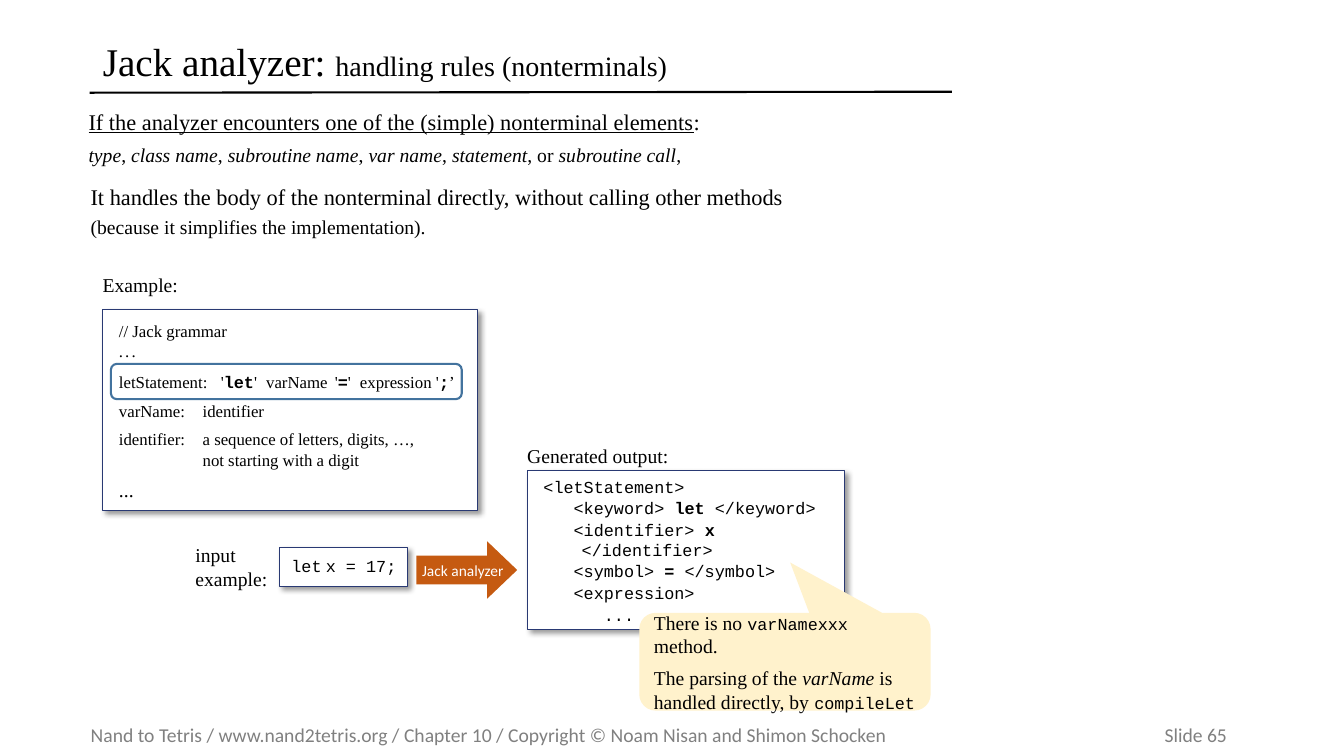
"""Build the slide on how the Jack analyzer handles simple nonterminals."""
from lxml.etree import SubElement
from pptx import Presentation
from pptx.dml.color import RGBColor
from pptx.enum.shapes import MSO_CONNECTOR, MSO_SHAPE as SHAPE
from pptx.enum.text import MSO_ANCHOR as ANCHOR, PP_ALIGN as ALIGN
from pptx.oxml.ns import qn
from pptx.util import Inches, Pt

BLACK = RGBColor(0x00, 0x00, 0x00)
WHITE = RGBColor(0xFF, 0xFF, 0xFF)
GREY = RGBColor(0x80, 0x80, 0x80)
NAVY = RGBColor(0x29, 0x39, 0x73)
BLUE = RGBColor(0x43, 0x73, 0x9E)
ORANGE = RGBColor(0xC5, 0x5A, 0x11)
CREAM = RGBColor(0xFF, 0xF2, 0xCC)

SERIF, SANS, MONO = "Times New Roman", "Calibri", "Courier New"
BOLD = {"bold": True}
ITALIC = {"italic": True}
TERMINAL = {"name": MONO, "bold": True}
METHOD = {"name": MONO, "size": Pt(12)}
LINE_BREAK = "\n"


def set_frame(shape, insets=(0.1, 0.05, 0.1, 0.05), anchor=ANCHOR.TOP, wrap=True):
    """Set the insets (left, top, right, bottom), anchor and wrapping of a shape's text."""
    frame = shape.text_frame
    frame.margin_left, frame.margin_top, frame.margin_right, frame.margin_bottom = map(Inches, insets)
    frame.vertical_anchor = anchor
    frame.word_wrap = wrap
    return frame


def write(frame, runs, size, font=SERIF, color=BLACK, before=0, hang=0, tabs=(), align=ALIGN.LEFT):
    """Add a paragraph of plain strings and (text, font settings) pairs."""
    paragraph = frame.paragraphs[0]
    if paragraph.runs:
        paragraph = frame.add_paragraph()
    paragraph.alignment = align
    paragraph.space_before = Pt(before)
    properties = paragraph._p.get_or_add_pPr()
    if hang:
        properties.set("marL", str(Inches(hang)))
        properties.set("indent", str(-Inches(hang)))
    if tabs:
        stops = SubElement(properties, qn("a:tabLst"))
        for stop in tabs:
            SubElement(stops, qn("a:tab"), pos=str(Inches(stop)), algn="l")
    paragraph.font.name = font
    paragraph.font.size = Pt(size)
    paragraph.font.color.rgb = color
    for part in [runs] if isinstance(runs, str) else runs:
        if part == LINE_BREAK:
            paragraph.add_line_break()
            continue
        words, settings = (part, {}) if isinstance(part, str) else part
        run = paragraph.add_run()
        run.text = words
        for setting, value in settings.items():
            setattr(run.font, setting, value)
    return paragraph


def add_text(slide, place, **frame_options):
    """Add a text box and return its text frame."""
    return set_frame(slide.shapes.add_textbox(*map(Inches, place)), **frame_options)


def add_block(slide, kind, place, fill=None, outline=None, width=0.75, adjustments=()):
    """Add a flat preset shape."""
    block = slide.shapes.add_shape(kind, *map(Inches, place))
    block.shadow.inherit = False
    for index, value in enumerate(adjustments):
        block.adjustments[index] = value
    if fill is None:
        block.fill.background()
    else:
        block.fill.solid()
        block.fill.fore_color.rgb = fill
    if outline is None:
        block.line.fill.background()
    else:
        block.line.color.rgb = outline
        block.line.width = Pt(width)
    return block


def add_panel(slide, place, **frame_options):
    """Add a white code panel with a soft shadow and return its text frame."""
    panel = add_block(slide, SHAPE.RECTANGLE, place, WHITE, NAVY)
    effects = panel._element.spPr.find(qn("a:effectLst"))
    shadow = SubElement(effects, qn("a:outerShdw"), blurRad=str(Pt(4)), dist=str(Pt(3)),
                        dir="2700000", algn="tl", rotWithShape="0")
    tint = SubElement(shadow, qn("a:srgbClr"), val=str(BLACK))
    SubElement(tint, qn("a:alpha"), val="40000")
    return set_frame(panel, **frame_options)


def add_heading(slide):
    """Fill the title and rule it off."""
    title = slide.shapes.title
    title.left, title.top, title.width, title.height = map(Inches, (0.92, 0.32, 8.53, 0.63))
    frame = set_frame(title, anchor=ANCHOR.MIDDLE)
    heading = write(frame, ["Jack analyzer: ", ("handling rules (nonterminals)", {"size": Pt(20)})], 28)
    heading.line_spacing = 0.9
    rule = slide.shapes.add_connector(MSO_CONNECTOR.STRAIGHT,
                                      *map(Inches, (0.89, 0.92, 9.44, 0.91)))
    rule.line.color.rgb = BLACK
    rule.line.width = Pt(1.5)
    SubElement(rule._element.spPr, qn("a:effectLst"))


def add_explanation(slide):
    """State the rule for simple nonterminals."""
    condition = add_text(slide, (0.78, 1.02, 7.08, 0.69))
    write(condition, [("If the analyzer encounters one of the (simple) nonterminal elements",
                       {"underline": True}), ":"], 16)
    write(condition, [("type", ITALIC), ", ", ("class name", ITALIC), ", ",
                      ("subroutine name", ITALIC), ", ", ("var name", ITALIC), ", ",
                      ("statement", ITALIC), ", or ", ("subroutine call", ITALIC), ","], 14, before=6)
    action = add_text(slide, (0.8, 1.77, 8.65, 0.65))
    write(action, "It handles the body of the nonterminal directly, without calling other methods", 16)
    write(action, "(because it simplifies the implementation).", 14, before=3)


def add_grammar(slide):
    """Show the grammar rules with the let rule framed."""
    write(add_text(slide, (0.92, 2.66, 2.58, 0.34)), "Example:", 14)
    grammar = add_panel(slide, (1.02, 3.07, 3.72, 1.99), insets=(0.16, 0.11, 0, 0.21))
    write(grammar, "// Jack grammar", 12)
    ellipsis = write(grammar, "...", 12)
    ellipsis.runs[0]._r.get_or_add_rPr().set("spc", "150")
    write(grammar, ["letStatement:\t'", ("let", TERMINAL), "'\tvarName\t'", ("=", TERMINAL),
                    "'\texpression '", (";", TERMINAL), "’"],
          12, before=8, tabs=(1.01, 1.46, 2.14, 2.39))
    write(grammar, "varName:\tidentifier", 12, before=6, hang=0.83, tabs=(0.83,))
    write(grammar, ["identifier:\ta sequence of letters, digits, …,", LINE_BREAK,
                    "not starting with a digit"], 12, before=6, hang=0.83, tabs=(0.83,))
    write(grammar, "...", 14, before=6)
    add_block(slide, SHAPE.ROUNDED_RECTANGLE, (1.1, 3.61, 3.48, 0.35), outline=BLUE, width=1.5)


def add_translation(slide):
    """Show the input, the analyzer arrow and the generated output."""
    output = add_panel(slide, (5.23, 4.67, 3.15, 1.58), insets=(0.16, 0.08, 0, 0.08),
                       anchor=ANCHOR.MIDDLE)
    output_lines = (
        ["<letStatement>"],
        ["   <keyword> ", ("let ", BOLD), "</keyword>"],
        ["   <identifier> ", ("x", BOLD), " </identifier>"],
        ["   <symbol> ", ("=", BOLD), " </symbol>"],
        ["   <expression>"],
        ["      ..."],
    )
    for number, line in enumerate(output_lines):
        write(output, line, 12, MONO, before=1 if number else 0, hang=0.38)
    write(add_text(slide, (5.13, 4.35, 2.19, 0.34)), "Generated output:", 14)
    statement = add_panel(slide, (2.77, 5.43, 1.27, 0.39), insets=(0.12, 0.08, 0.1, 0))
    write(statement, ["let", (" ", {"name": SERIF}), "x = 17;"], 12, MONO)
    write(add_text(slide, (1.84, 5.34, 1.27, 0.57)), "input example:", 14)
    arrow = add_block(slide, SHAPE.RIGHT_ARROW, (4.13, 5.37, 1, 0.57), ORANGE,
                      adjustments=(0.5, 0.523))
    label = set_frame(arrow, insets=(0.17, 0.05, 0.1, 0.05), anchor=ANCHOR.MIDDLE, wrap=False)
    write(label, "Jack analyzer", 11, SANS, WHITE, align=ALIGN.CENTER)


def add_remark(slide):
    """Add the callout on the missing method."""
    callout = add_block(slide, SHAPE.ROUNDED_RECTANGULAR_CALLOUT, (6.34, 6.08, 2.89, 0.97), CREAM,
                        adjustments=(0.018, -1.015, 0.167))
    remark = set_frame(callout, anchor=ANCHOR.MIDDLE)
    write(remark, ["There is no ", ("varNamexxx", METHOD), " method."], 14)
    write(remark, ["The parsing of the ", ("varName", ITALIC), " is handled directly, by ",
                   ("compileLet", METHOD)], 14, before=6)


def main():
    """Build and save the slide."""
    deck = Presentation()
    deck.slide_width, deck.slide_height = Inches(13.33), Inches(7.5)
    slide = deck.slides.add_slide(deck.slide_layouts[5])
    add_heading(slide)
    footer = add_text(slide, (0.9, 7.12, 12.25, 0.34), insets=(0, 0.05, 0, 0.05), anchor=ANCHOR.MIDDLE)
    write(footer, "Nand to Tetris / www.nand2tetris.org / Chapter 10 / "
          "Copyright © Noam Nisan and Shimon Schocken\tSlide 65", 14, SANS, GREY, tabs=(10.65,))
    add_explanation(slide)
    add_grammar(slide)
    add_translation(slide)
    add_remark(slide)
    deck.save("out.pptx")


if __name__ == "__main__":
    main()
